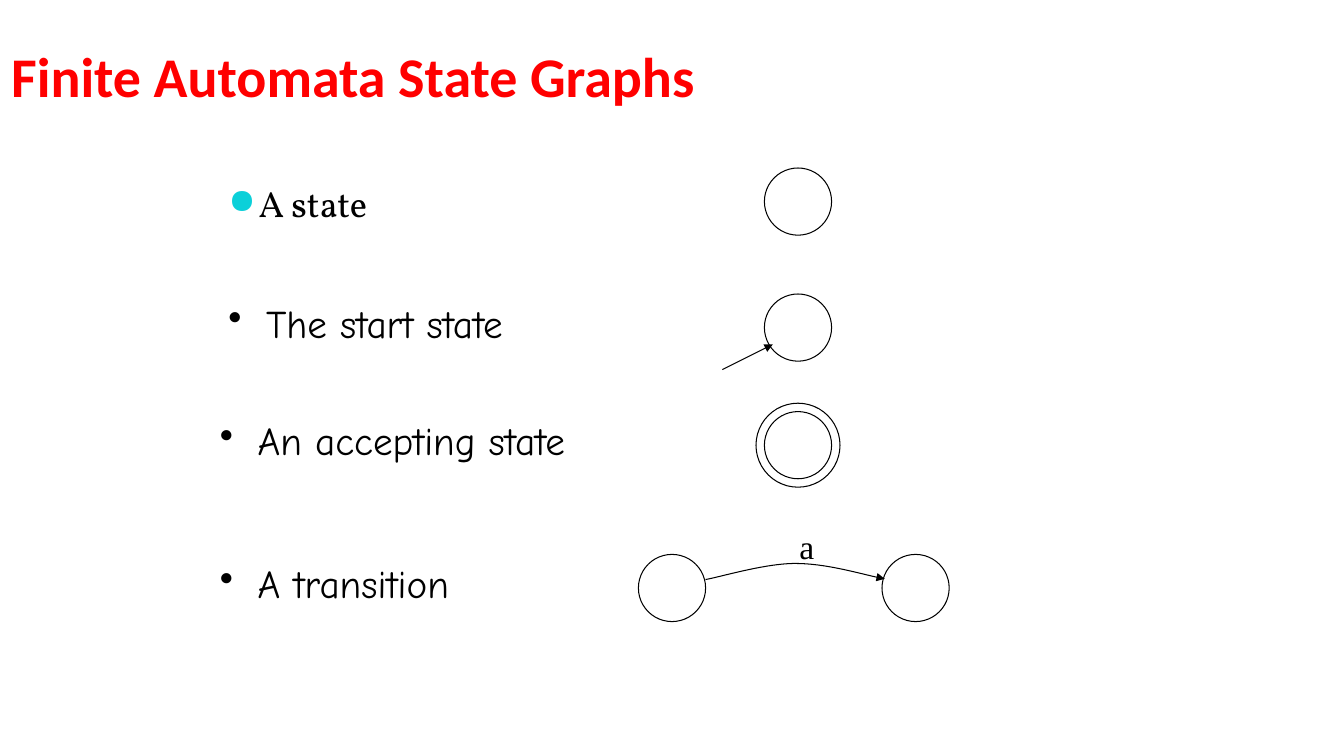
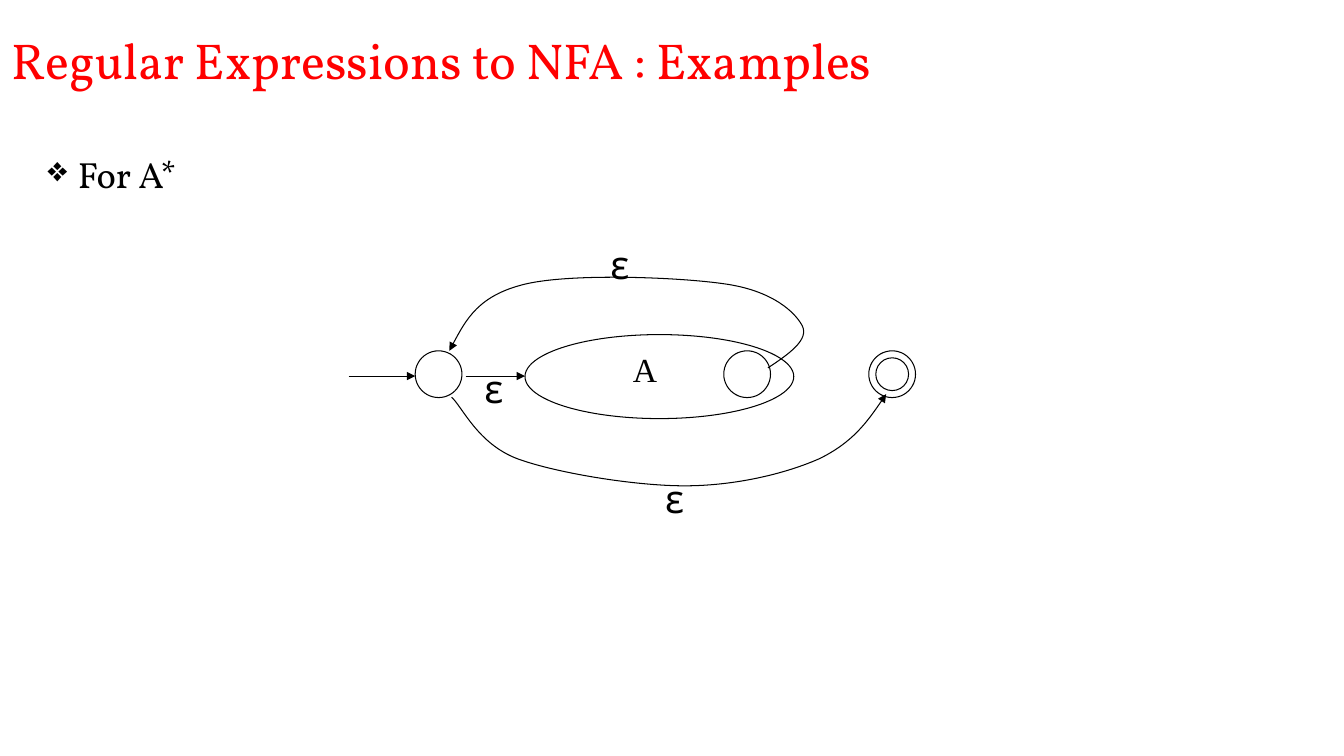
from dataclasses import dataclass

from pptx import Presentation
from pptx import util as u
from pptx.dml import color as c
from pptx.enum import shapes, text
from pptx.oxml import ns, xmlchemy

Pt = u.Pt


@dataclass(frozen=True)
class Theme:
    ink: str = "000000"
    heading: str = "FF0000"
    accent: str = "0BD0D9"
    serif: str = "Vollkorn"
    casual: str = "Comic Neue"
    sans: str = "Calibri"
    symbol: str = "Times New Roman"
    title_bold_size: int = 40
    title_size: int = 36
    casual_size: int = 28
    serif_size: int = 26
    symbol_size: int = 24
    line_width: float = 0.75


def add_child(parent, tag, **attributes):
    child = xmlchemy.OxmlElement(tag)
    for name, value in attributes.items():
        child.set(name, str(value))
    parent.append(child)
    return child


class AutomataDeck:
    def __init__(self, theme):
        self.theme = theme
        self.presentation = Presentation()
        self.presentation.slide_width = Pt(960)
        self.presentation.slide_height = Pt(540)
        self.slide = self.target = None

    def new_slide(self):
        blank = self.presentation.slide_layouts[6]
        self.slide = self.presentation.slides.add_slide(blank)
        self.ungroup()

    def group(self):
        """Send the following elements to a new group, until ungroup()."""
        self.target = self.slide.shapes.add_group_shape().shapes

    def ungroup(self):
        self.target = self.slide.shapes

    def text(self, wording, box, font, color, bullet=None, **frame_format):
        """Add one paragraph; bullet is (symbol, indent, colour, percent)."""
        frame = self.target.add_textbox(*map(Pt, box)).text_frame
        for name, value in {"word_wrap": True, **frame_format}.items():
            setattr(frame, name, value)
        paragraph = frame.paragraphs[0]
        if bullet:
            symbol, indent, bullet_color, percent = bullet
            properties = paragraph._p.get_or_add_pPr()
            properties.set("marL", str(Pt(indent)))
            properties.set("indent", str(-Pt(indent)))
            tint = add_child(properties, "a:buClr")
            add_child(tint, "a:srgbClr", val=bullet_color)
            add_child(properties, "a:buSzPct", val=percent * 1000)
            add_child(properties, "a:buChar", char=symbol)
        run = paragraph.add_run()
        run.text = wording
        for name, value in font.items():
            setattr(run.font, name, value)
        run.font.color.rgb = c.RGBColor.from_string(color)

    def title(self, wording, box, **font):
        self.text(wording, box, font, self.theme.heading,
                  vertical_anchor=text.MSO_ANCHOR.BOTTOM,
                  margin_left=0, margin_right=0, margin_bottom=0)

    def serif_bullet(self, wording, x, y, symbol, color):
        font = {"name": self.theme.serif, "size": Pt(self.theme.serif_size)}
        self.text(wording, (x, y, 654, 42), font, self.theme.ink,
                  (symbol, 21.6, color, 95))

    def casual_bullet(self, wording, x, y):
        font = {"name": self.theme.casual, "size": Pt(self.theme.casual_size)}
        self.text(wording, (x, y, 654, 42), font, self.theme.ink,
                  ("•", 27, self.theme.ink, 100))

    def label(self, wording, box, name, size):
        self.text(wording, box, {"name": name, "size": Pt(size)},
                  self.theme.ink, word_wrap=False,
                  auto_size=text.MSO_AUTO_SIZE.SHAPE_TO_FIT_TEXT)

    def symbol(self, letter, x, y, width):
        self.label(letter, (x, y, width, 36),
                   self.theme.symbol, self.theme.symbol_size)

    def epsilon(self, x, y):
        self.label("ε", (x, y, 26.6, 41),
                   self.theme.casual, self.theme.casual_size)

    def outline(self, shape, arrow=False):
        shape.line.color.rgb = c.RGBColor.from_string(self.theme.ink)
        shape.line.width = Pt(self.theme.line_width)
        if arrow:
            add_child(shape.line._get_or_add_ln(), "a:tailEnd",
                      type="triangle")

    def ellipse(self, x, y, width, height):
        oval = self.target.add_shape(shapes.MSO_SHAPE.OVAL,
                                     *map(Pt, (x, y, width, height)))
        oval.shadow.inherit = False
        oval.fill.background()
        self.outline(oval)

    def state(self, x, y, diameter):
        self.ellipse(x, y, diameter, diameter)

    def accepting_state(self, x, y, diameter, gap):
        self.state(x + gap, y + gap, diameter - 2 * gap)
        self.state(x, y, diameter)

    def arrow(self, *ends):
        line = self.target.add_connector(shapes.MSO_CONNECTOR.STRAIGHT,
                                         *map(Pt, ends))
        self.outline(line, arrow=True)
        add_child(line._element.spPr, "a:effectLst")

    def curved_arrow(self, start, *points):
        """Draw cubic curves; each takes two control points and an end."""
        builder = self.target.build_freeform(*map(Pt, start))
        builder.add_line_segments([tuple(map(Pt, p)) for p in points],
                                  close=False)
        curve = builder.convert_to_shape()
        steps = list(curve._element.iter(ns.qn("a:lnTo")))
        for first in range(0, len(steps), 3):
            bezier = xmlchemy.OxmlElement("a:cubicBezTo")
            steps[first].addprevious(bezier)
            for step in steps[first:first + 3]:
                bezier.append(step[0])
                step.getparent().remove(step)
        curve.shadow.inherit = False
        curve.fill.background()
        self.outline(curve, arrow=True)


def state_graphs(deck):
    theme = deck.theme
    diameter, column = 48, 546
    deck.new_slide()
    deck.title("Finite Automata State Graphs", (8, 0, 864, 78),
               name=theme.sans, size=Pt(theme.title_bold_size), bold=True)

    deck.serif_bullet("A state", 156, 126, "●", theme.accent)
    deck.state(column, 120, diameter)

    for wording, x, y in (("The start state", 156, 210),
                          ("An accepting state", 150, 294),
                          ("A transition", 150, 396)):
        deck.casual_bullet(wording, x, y)

    deck.group()
    deck.state(column, 210, diameter)
    deck.arrow(516, 264, 552, 246)

    deck.group()
    deck.accepting_state(column - 6, 288, diameter + 12, 6)

    deck.group()
    for x in (456, 630):
        deck.state(x, 396, diameter)
    deck.curved_arrow((504, 414),
                      (515, 412), (546.5, 402.5), (568, 402.5),
                      (589.5, 402.5), (618.5, 411), (632, 413.5))
    deck.symbol("a", 564, 372, 25)


def star_example(deck):
    theme = deck.theme
    diameter, top, axis = 33.4, 250.6, 268.6
    deck.new_slide()
    deck.title("Regular Expressions to NFA : Examples", (8.6, 0, 648, 64),
               name=theme.serif, size=Pt(theme.title_size))
    deck.serif_bullet("For A*", 27, 105, "❖", theme.ink)

    deck.ellipse(375, 239, 192, 60)
    deck.symbol("A", 445, 245.5, 32)
    for x in (517, 296.6):
        deck.state(x, top, diameter)
    for begin, end in ((332.6, 375), (249, 296.6)):
        deck.arrow(begin, axis, end, axis)

    deck.group()
    deck.accepting_state(620.6, top, diameter, 5)
    deck.ungroup()

    deck.curved_arrow((322.6, 283.7),
                      (330.5, 291), (341.3, 316.8), (369.4, 327.6),
                      (396.7, 337.7), (453, 347), (489, 347),
                      (525, 347), (561, 338.4), (585.4, 327.6),
                      (609, 316), (621.4, 298.8), (633, 281.5))
    deck.curved_arrow((548.6, 262.8),
                      (563.8, 252.7), (578.2, 242.6), (573, 232.6),
                      (568, 223.2), (552.2, 208), (519, 203),
                      (486, 198), (408.2, 195), (375, 203),
                      (342, 211), (331.2, 231), (321, 250.6))
    for x, y in ((339, 257), (468, 335), (429, 168)):
        deck.epsilon(x, y)


def main():
    deck = AutomataDeck(Theme())
    state_graphs(deck)
    star_example(deck)
    deck.presentation.save("out.pptx")


if __name__ == "__main__":
    main()
